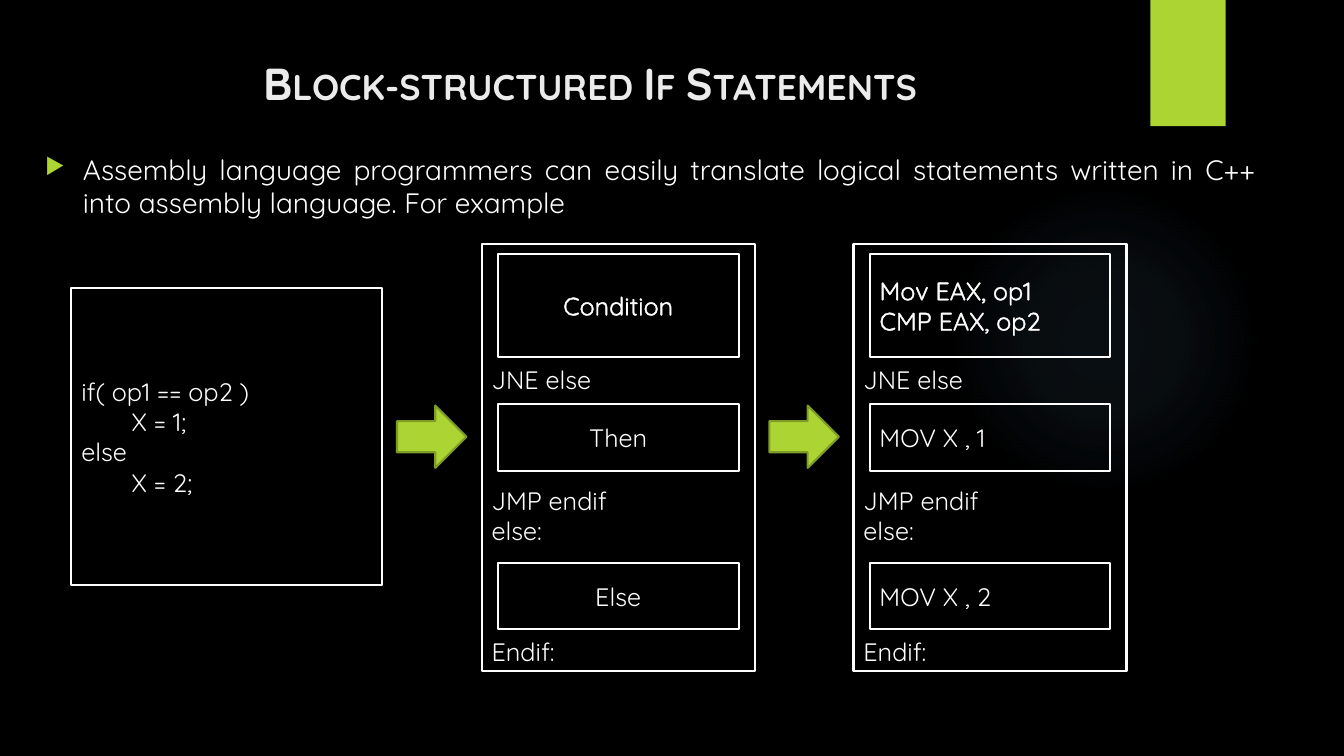
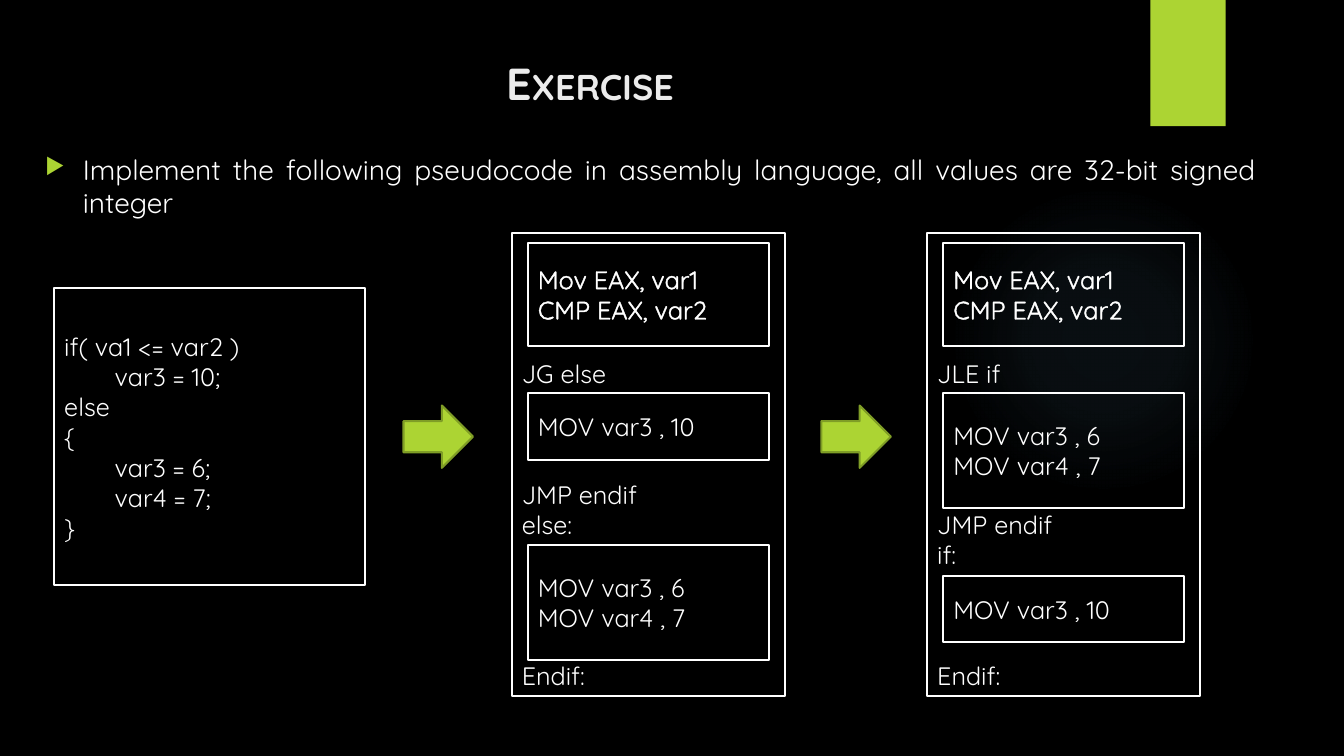
from pptx import Presentation
from pptx.dml.color import RGBColor
from pptx.enum.shapes import MSO_SHAPE as SHAPE
from pptx.enum.text import MSO_ANCHOR as ANCHOR, PP_ALIGN as ALIGN
from pptx.oxml import parse_xml
from pptx.oxml.ns import nsdecls
from pptx.util import Cm, Pt

BLACK = RGBColor(0x00, 0x00, 0x00)
WHITE = RGBColor(0xFF, 0xFF, 0xFF)
TITLE = RGBColor(0xEB, 0xEB, 0xEB)
GREEN = RGBColor(0xAC, 0xD4, 0x33)
DARK_GREEN = RGBColor(0x7F, 0x9D, 0x26)
GLOW = RGBColor(0x7A, 0xC4, 0xF0)

FONT = "Quicksand"
LINE_PT = 21.6                        # height of one 18 pt line
CODE_Y, CODE_W, CODE_H = 7.26, 7.82, 7.49
PANEL_W, BOX_W = 6.88, 6.07
HEAD_DY, HEAD_H, THEN_DY = 0.25, 2.59, 4.04
ARROW_W, ARROW_H = 1.75, 1.57


def xml(markup):
    """Parse one element of the drawing namespace, given as its opening tag and content."""
    tag, rest = markup.split(" ", 1)
    return parse_xml(f"{tag} {nsdecls('a')} {rest}")


class Deck:
    """Holds the presentation, its style and the current slide."""

    def __init__(self):
        self.prs = Presentation()
        self.prs.slide_width, self.prs.slide_height = Cm(33.87), Cm(19.05)

    def slide(self, title, intro):
        self.s = self.prs.slides.add_slide(self.prs.slide_layouts[6])
        bg = self.s.background.fill
        bg.solid()
        bg.fore_color.rgb = BLACK
        self.glow()
        self.shape(SHAPE.RECTANGLE, 28.99, 0, 1.9, 3.18, fill=GREEN)
        self.title(title)
        self.bullet(intro)

    def shape(self, kind, x, y, w, h, fill=None, line=None):
        sp = self.s.shapes.add_shape(kind, Cm(x), Cm(y), Cm(w), Cm(h))
        sp.shadow.inherit = False
        if fill is None:
            sp.fill.background()
        else:
            sp.fill.solid()
            sp.fill.fore_color.rgb = fill
        if line is None:
            sp.line.fill.background()
        else:
            sp.line.color.rgb = line
            sp.line.width = Pt(1.5)
        return sp

    def glow(self):
        """Draw the faint round light behind the content."""
        sp = self.shape(SHAPE.OVAL, 23.9, 4.65, 7.82, 7.82)
        stops = "".join(
            f'<a:gs pos="{pos}000"><a:srgbClr val="{GLOW}">'
            f'<a:alpha val="{alpha}000"/></a:srgbClr></a:gs>'
            for pos, alpha in ((0, 7), (36, 6), (69, 0)))
        sp.fill.gradient()
        grad = sp._element.spPr.find(
            "{http://schemas.openxmlformats.org/drawingml/2006/main}gradFill")
        grad.getparent().replace(grad, xml(
            f'<a:gradFill rotWithShape="1"><a:gsLst>{stops}</a:gsLst>'
            '<a:path path="circle"><a:fillToRect l="50000" t="50000" '
            'r="50000" b="50000"/></a:path></a:gradFill>'))

    def text(self, x, y, w, h, text, size, color, align):
        tf = self.s.shapes.add_textbox(Cm(x), Cm(y), Cm(w), Cm(h)).text_frame
        tf.word_wrap = True
        tf.text = text
        p = tf.paragraphs[0]
        p.alignment = align
        self.style(p, size, color)
        return p

    def style(self, p, size=18, color=WHITE):
        for r in p.runs:
            r.font.name, r.font.size = FONT, Pt(size)
            r.font.color.rgb = color

    def title(self, text):
        p = self.text(1.8, 1.27, 26.14, 2.24, text, 32, TITLE, ALIGN.CENTER)
        r = p.runs[0]
        r.font.bold = True
        r.font._element.set("cap", "small")

    def bullet(self, text):
        p = self.text(0.89, 3.71, 31.01, 2.1, text, 20, WHITE, ALIGN.JUSTIFY)
        pPr = p._p.get_or_add_pPr()
        pPr.set("marL", str(Cm(0.95)))
        pPr.set("indent", str(-Cm(0.95)))
        for markup in (f'<a:buClr ><a:srgbClr val="{GREEN}"/></a:buClr>',
                       '<a:buSzPct val="80000"/>', '<a:buChar char="▶"/>'):
            pPr.append(xml(markup))

    def box(self, x, y, w, h, lines, align=ALIGN.LEFT, anchor=ANCHOR.MIDDLE):
        """Draw a white frame with one paragraph per line and return the paragraphs."""
        tf = self.shape(SHAPE.RECTANGLE, x, y, w, h, line=WHITE).text_frame
        tf.word_wrap = True
        tf.vertical_anchor = anchor
        tf.text = "\n".join(lines)
        for p in tf.paragraphs:
            p.alignment = align
            self.style(p)
        return tf.paragraphs

    def code(self, x, lines):
        """Draw the source code; lines is a list of (indented, text)."""
        paragraphs = self.box(x, CODE_Y, CODE_W, CODE_H, [t for _, t in lines])
        for p, (indented, _) in zip(paragraphs, lines):
            if indented:
                p._p.get_or_add_pPr().set("marL", str(Cm(1.27)))

    def panel(self, x, y, h, labels, head, then, last, last_dy, align=ALIGN.LEFT):
        """Draw a frame of jump labels, given as (lines skipped, text), with three boxes."""
        paragraphs = self.box(x, y, PANEL_W, h, [t for _, t in labels],
                              anchor=ANCHOR.BOTTOM)
        for p, (skipped, _) in zip(paragraphs, labels):
            p.space_before = Pt(skipped * LINE_PT)
        box_x = x + (PANEL_W - BOX_W) / 2
        for p in self.box(box_x, y + HEAD_DY, BOX_W, HEAD_H, head, align):
            p.runs[0].font._element.insert(0, xml(
                f'<a:ln w="9525"><a:solidFill><a:srgbClr val="{WHITE}"/>'
                '</a:solidFill></a:ln>'))
        for dy, lines in ((THEN_DY, then), (last_dy, last)):
            box_h = 0.46 + 1.22 * len(lines)
            self.box(box_x, y + dy, BOX_W, box_h, lines, align)

    def arrow(self, left, right):
        """Centre an arrow in the gap from left to right."""
        self.shape(SHAPE.RIGHT_ARROW, (left + right - ARROW_W) / 2,
                   CODE_Y + (CODE_H - ARROW_H) / 2, ARROW_W, ARROW_H,
                   fill=GREEN, line=DARK_GREEN)

    def flow(self, code_x, code, y, h, panels):
        """Draw code, then each panel, given as (x, arguments), with arrows between."""
        self.code(code_x, code)
        right = code_x + CODE_W
        for x, content in panels:
            self.arrow(right, x)
            self.panel(x, y, h, **content)
            right = x + PANEL_W


def main():
    deck = Deck()

    deck.slide("Block-structured If Statements",
               "Assembly language programmers can easily translate logical "
               "statements written in C++ into assembly language. For example")
    shared = dict(labels=[(0, "JNE else"), (3, "JMP endif"), (0, "else:"),
                          (3, "Endif:")], last_dy=8.03)
    deck.flow(
        1.8, [(False, "if( op1 == op2 )"), (True, "X = 1;"),
              (False, "else"), (True, "X = 2;")],
        6.15, 10.77,
        [(12.14, dict(shared, head=["Condition"], then=["Then"], last=["Else"],
                      align=ALIGN.CENTER)),
         (21.51, dict(shared, head=["Mov EAX, op1", "CMP EAX, op2"],
                      then=["MOV X , 1"], last=["MOV X , 2"]))])

    deck.slide("Exercise",
               "Implement the following pseudocode in assembly language, "
               "all values are 32-bit signed integer")
    compare = ["Mov EAX, var1", "CMP EAX, var2"]
    one_move = ["MOV var3 , 10"]
    two_moves = ["MOV var3 , 6", "MOV var4 , 7"]
    deck.flow(
        1.37, [(False, "if( va1 <= var2 )"), (True, "var3 = 10;"),
               (False, "else"), (False, "{"), (True, "var3 = 6;"),
               (True, "var4 = 7;"), (False, "}")],
        5.87, 11.66,
        [(12.9, dict(labels=[(0, "JG else"), (3, "JMP endif"), (0, "else:"),
                             (4, "Endif:")],
                     head=compare, then=one_move, last=two_moves, last_dy=7.87)),
         (23.37, dict(labels=[(0, "JLE if"), (4, "JMP endif"), (0, "if:"),
                              (3, "Endif:")],
                      head=compare, then=two_moves, last=one_move, last_dy=8.64))])

    deck.prs.save("out.pptx")


if __name__ == "__main__":
    main()
